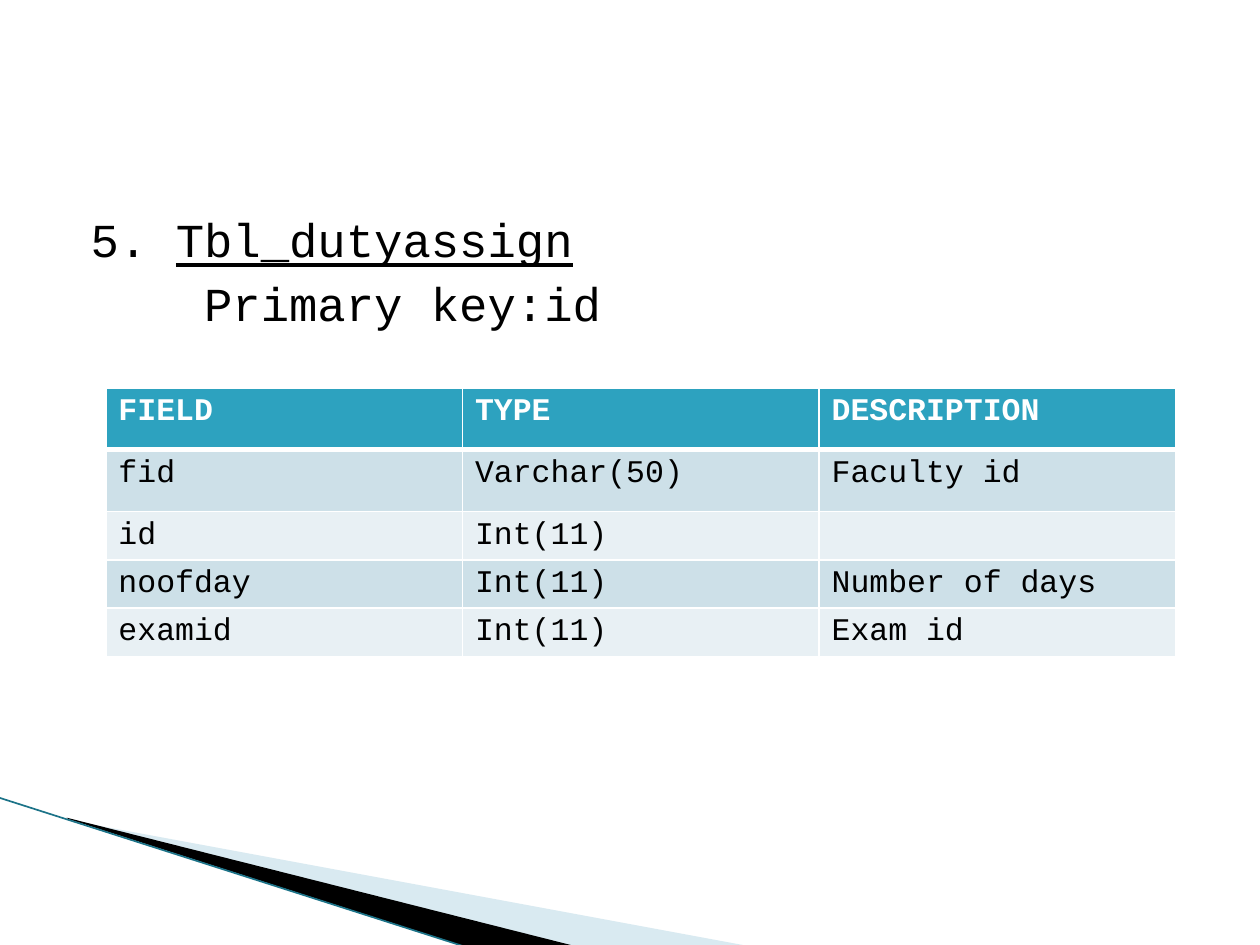
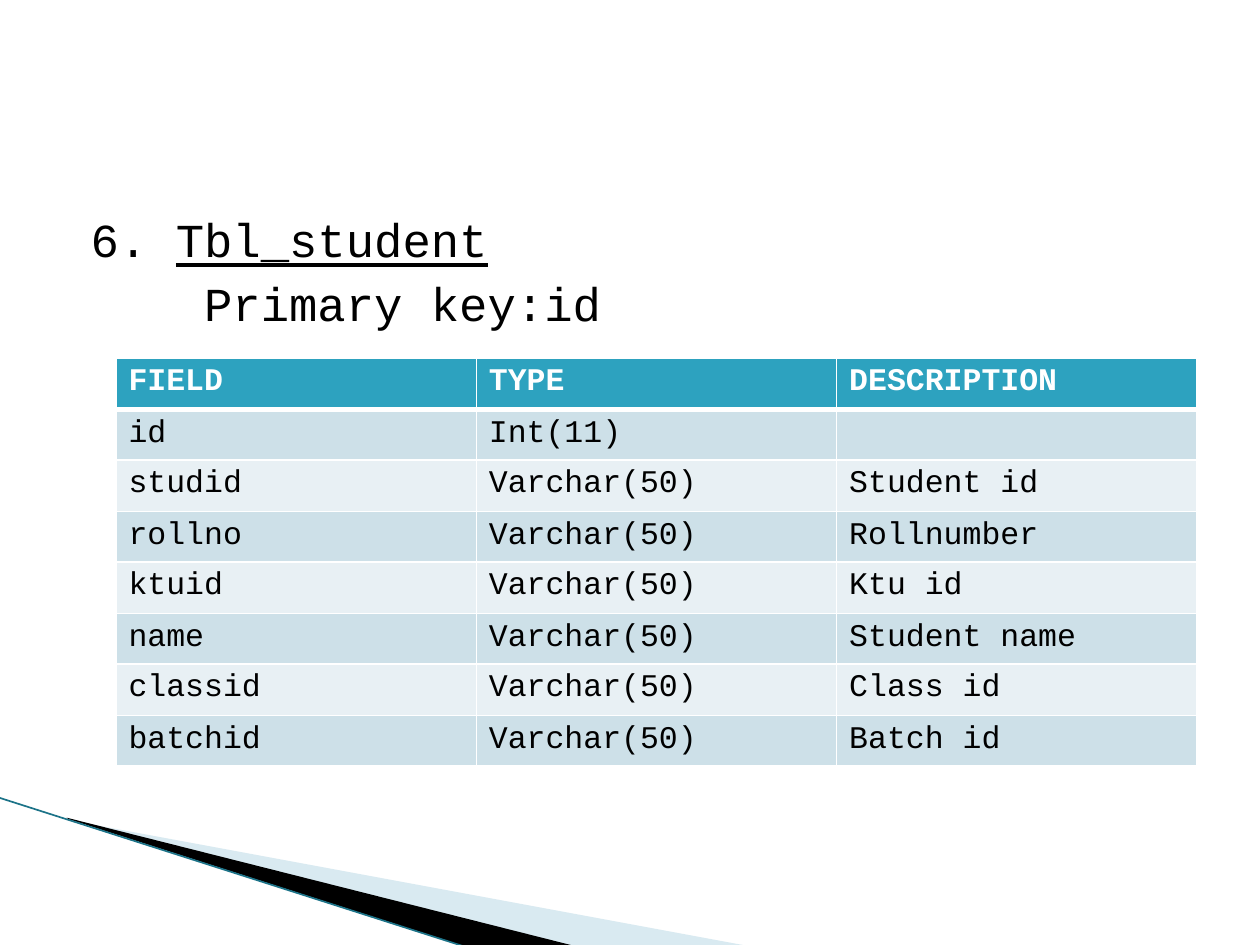
from lxml import etree
from pptx import Presentation
from pptx.dml.color import RGBColor
from pptx.enum.shapes import MSO_CONNECTOR
from pptx.enum.text import MSO_ANCHOR, MSO_AUTO_SIZE
from pptx.oxml.ns import qn
from pptx.util import Pt

SCALE = 9144
STRAIGHT = MSO_CONNECTOR.STRAIGHT
TOP = MSO_ANCHOR.TOP
NO_FIT = MSO_AUTO_SIZE.NONE
COLORS = {
    "text": "000000", "white": "FFFFFF", "head": "2DA2BF",
    "odd": "CDE0E8", "even": "E8F0F4",
    "pale": "A0CBDC", "dark": "000000", "edge": "1C7388",
}
HEAD = ("FIELD", "TYPE", "DESCRIPTION")


def px(size):
    return size * SCALE


def color(name):
    return RGBColor.from_string(COLORS[name])


class Deck:
    font = "Courier New"

    def __init__(self):
        self.show = Presentation()
        self.show.slide_width, self.show.slide_height = px(1000), px(750)

    def start(self):
        self.slide = self.show.slides.add_slide(self.show.slide_layouts[1])
        title = self.slide.shapes.title.element
        title.getparent().remove(title)
        self.wedge("pale", (78, 547, 416, 158),
                   [(55, 651), (595, 751), (456, 751), (55, 650)], 40)
        self.wedge("dark", (-6, 633, 416, 92),
                   [(53, 649), (457, 751), (372, 752), (54, 650)])
        self.line("edge", (-1, 633), (371, 752))

    def place(self, shape, box):
        shape.left, shape.top, shape.width, shape.height = map(px, box)

    def wedge(self, fill, box, points, alpha=100):
        form = self.slide.shapes.build_freeform(*points[0], scale=SCALE)
        form.add_line_segments(points[1:])
        shape = form.convert_to_shape()
        self.frame(shape, box)
        shape.shadow.inherit = False
        shape.fill.solid()
        shape.fill.fore_color.rgb = color(fill)
        shape.line.fill.background()
        if alpha < 100:
            tone = shape.element.spPr.find(".//" + qn("a:srgbClr"))
            etree.SubElement(tone, qn("a:alpha"), val=str(alpha * 1000))

    def frame(self, shape, box):
        trace = shape.element.spPr.find(".//" + qn("a:path"))
        unit = shape.width // int(trace.get("w"))
        left, top = shape.left, shape.top
        self.place(shape, box)
        trace.set("w", str(shape.width // unit))
        trace.set("h", str(shape.height // unit))
        for point in trace.iter(qn("a:pt")):
            for axis, shift in (("x", left - shape.left),
                                ("y", top - shape.top)):
                point.set(axis, str(int(point.get(axis)) + shift // unit))

    def line(self, tone, start, end):
        line = self.slide.shapes.add_connector(
            STRAIGHT, *map(px, start), *map(px, end))
        line.line.color.rgb = color(tone)
        line.line.width = Pt(0.95)
        etree.SubElement(line.element.spPr, qn("a:effectLst"))

    def style(self, par, size, tone, bold=False):
        par.font.name = self.font
        par.font.size = Pt(size)
        par.font.bold = bold
        par.font.color.rgb = color(tone)

    def body(self, number, name, key):
        body = self.slide.placeholders[1]
        self.place(body, (50, 162, 900, 495))
        body.element.getparent().append(body.element)
        frame = body.text_frame
        frame.auto_size = NO_FIT
        frame.vertical_anchor = TOP
        first, second = frame.paragraphs[0], frame.add_paragraph()
        first.add_run().text = f"{number}. "
        run = first.add_run()
        run.text = name
        run.font.underline = True
        second.add_run().text = f"Primary key:{key}"
        for par, left, indent in ((first, 40, -28), (second, 102, 0)):
            self.style(par, 27, "text")
            par.space_before = Pt(4)
            props = par._p.get_or_add_pPr()
            props.set("marL", str(px(left)))
            props.set("indent", str(px(indent)))
            props.find(qn("a:defRPr")).addprevious(
                etree.Element(qn("a:buNone")))

    def border(self, cell, base):
        props = cell._tc.get_or_add_tcPr()
        sides = (("lnL", 1), ("lnR", 1), ("lnT", 1), ("lnB", base))
        for spot, (side, width) in enumerate(sides):
            edge = etree.Element(qn(f"a:{side}"), w=str(Pt(width)))
            fill = etree.SubElement(edge, qn("a:solidFill"))
            etree.SubElement(fill, qn("a:srgbClr"), val=COLORS["white"])
            props.insert(spot, edge)

    def table(self, left, top, width, heights, rows):
        rows = [HEAD, *rows]
        grid = self.slide.shapes.add_table(
            len(rows), len(HEAD), px(left), px(top),
            px(width), px(sum(heights))).table
        for r, (row, height) in enumerate(zip(rows, heights)):
            grid.rows[r].height = px(height)
            fill = "head" if r == 0 else "odd" if r % 2 else "even"
            for c, text in enumerate(row):
                cell = grid.cell(r, c)
                cell.fill.solid()
                cell.fill.fore_color.rgb = color(fill)
                self.border(cell, 1 if r else 3)
                cell.text = text
                self.style(cell.text_frame.paragraphs[0], 18,
                           "text" if r else "white", r == 0)
        for cell in grid.rows[1].cells:
            edge = cell._tc.tcPr.find(qn("a:lnT"))
            edge.set("w", str(Pt(3)))


def main():
    deck = Deck()

    deck.start()
    deck.body(5, "Tbl_dutyassign", "id")
    deck.table(84, 308, 849, [49] * 2 + [38] * 3, [
        ("fid", "Varchar(50)", "Faculty id"),
        ("id", "Int(11)", ""),
        ("noofday", "Int(11)", "Number of days"),
        ("examid", "Int(11)", "Exam id"),
    ])

    deck.start()
    deck.body(6, "Tbl_student", "id")
    fields = [
        ("studid", "Student id"), ("rollno", "Rollnumber"),
        ("ktuid", "Ktu id"), ("name", "Student name"),
        ("classid", "Class id"), ("batchid", "Batch id"),
    ]
    deck.table(92, 284, 858, [41, 40] * 4, [
        ("id", "Int(11)", ""),
        *((name, "Varchar(50)", note) for name, note in fields),
    ])

    deck.show.save("out.pptx")


if __name__ == "__main__":
    main()
